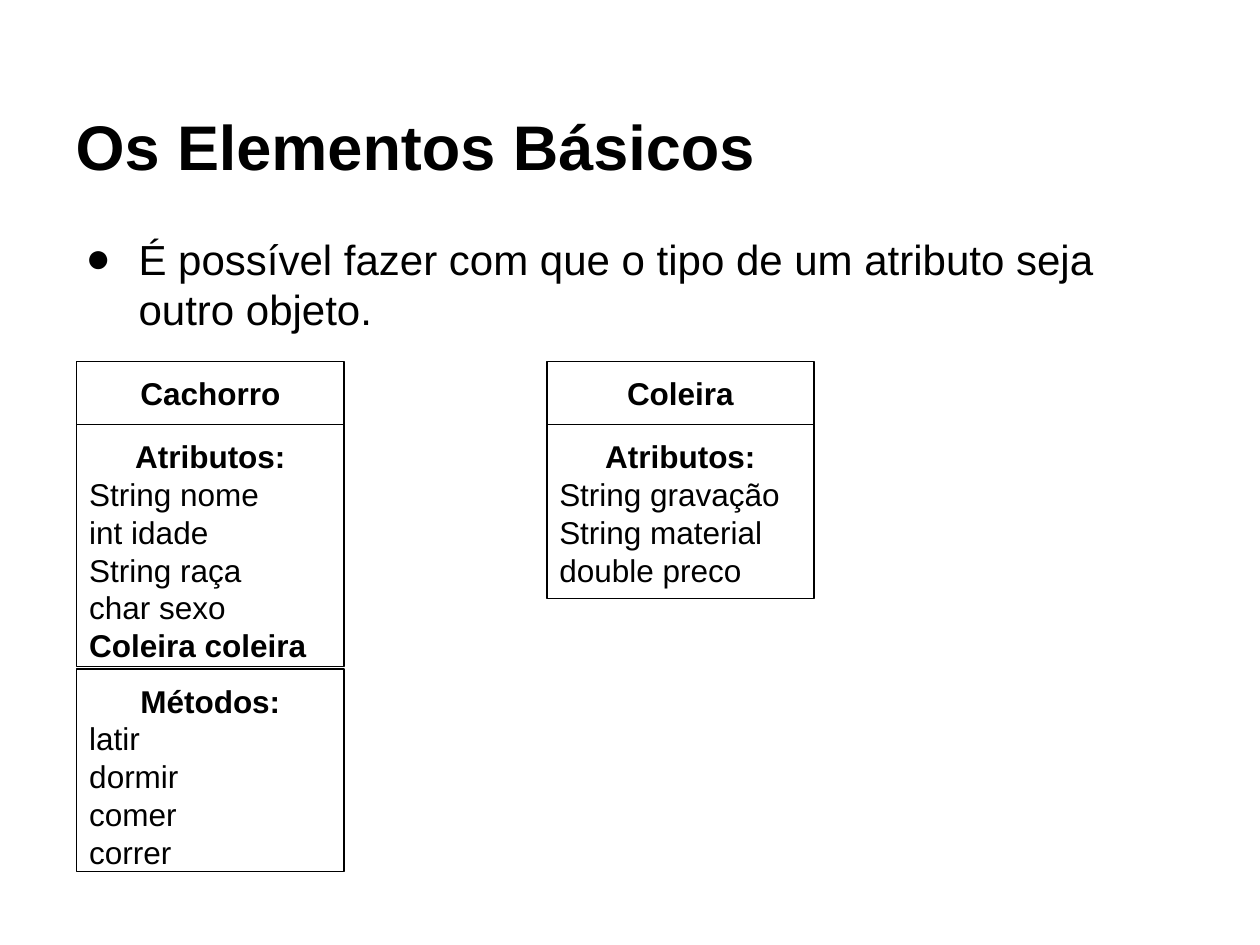
from dataclasses import dataclass

import pptx
import pptx.dml.color
import pptx.enum.shapes
import pptx.enum.text
import pptx.oxml
import pptx.oxml.ns
import pptx.util

Inches = pptx.util.Inches
Align = pptx.enum.text.PP_ALIGN
Anchor = pptx.enum.text.MSO_ANCHOR

COLORS = {"ink": "000000", "paper": "FFFFFF"}
FONT = "Arial"
BOX_WIDTH = 2.12
CLASS_TOP = 2.87


@dataclass
class Compartment:
    heading: str
    height: float
    members: tuple[str, ...] = ()
    bold_members: tuple[str, ...] = ()
    gap_above: float = 0


@dataclass
class ClassDiagram:
    left: float
    compartments: list[Compartment]


DIAGRAMS = [
    ClassDiagram(0.61, [
        Compartment("Cachorro", 0.5),
        Compartment(
            "Atributos:", 1.92,
            ("String nome", "int idade", "String raça", "char sexo", "Coleira coleira"),
            bold_members=("Coleira coleira",),
        ),
        Compartment("Métodos:", 1.61, ("latir", "dormir", "comer", "correr"), gap_above=0.02),
    ]),
    ClassDiagram(4.34, [
        Compartment("Coleira", 0.5),
        Compartment("Atributos:", 1.38, ("String gravação", "String material", "double preco")),
    ]),
]


def color(name: str) -> pptx.dml.color.RGBColor:
    return pptx.dml.color.RGBColor.from_string(COLORS[name])


def write_text(paragraph, text: str, *, size: float, bold: bool = False,
               align=Align.LEFT) -> None:
    paragraph.alignment = align
    paragraph.line_spacing = 1.0
    paragraph.space_before = paragraph.space_after = pptx.util.Pt(0)
    run = paragraph.add_run()
    run.text = text
    run.font.name = FONT
    run.font.size = pptx.util.Pt(size)
    run.font.bold = bold
    run.font.color.rgb = color("ink")


def prepare_frame(shape, anchor=Anchor.TOP):
    frame = shape.text_frame
    frame.word_wrap = True
    frame.auto_size = pptx.enum.text.MSO_AUTO_SIZE.NONE
    frame.vertical_anchor = anchor
    frame.margin_left = frame.margin_right = Inches(0.1)
    frame.margin_top = frame.margin_bottom = Inches(0.1)
    return frame


def place(shape, left: float, top: float, width: float, height: float) -> None:
    shape.left, shape.top = Inches(left), Inches(top)
    shape.width, shape.height = Inches(width), Inches(height)


def add_bullet(paragraph, character: str, left: float, hanging: float) -> None:
    properties = paragraph._p.get_or_add_pPr()
    properties.set("marL", str(Inches(left)))
    properties.set("indent", str(-Inches(hanging)))
    namespace = pptx.oxml.ns.nsdecls("a")
    for xml in (
        f'<a:buClr {namespace}><a:srgbClr val="{COLORS["ink"]}"/></a:buClr>',
        f'<a:buFont {namespace} typeface="{FONT}"/>',
        f'<a:buChar {namespace} char="{character}"/>',
    ):
        properties.append(pptx.oxml.parse_xml(xml))


def draw_compartment(group, compartment: Compartment, left: float, top: float) -> None:
    box = group.shapes.add_shape(
        pptx.enum.shapes.MSO_SHAPE.RECTANGLE, Inches(left), Inches(top),
        Inches(BOX_WIDTH), Inches(compartment.height))
    box.shadow.inherit = False
    box.fill.background()
    box.line.color.rgb = color("ink")
    box.line.width = pptx.util.Pt(0.75)
    frame = prepare_frame(box)
    write_text(frame.paragraphs[0], compartment.heading, size=18, bold=True, align=Align.CENTER)
    for member in compartment.members:
        write_text(frame.add_paragraph(), member, size=18,
                   bold=member in compartment.bold_members)


def draw_class(slide, diagram: ClassDiagram) -> None:
    group = slide.shapes.add_group_shape()
    top = CLASS_TOP
    for compartment in diagram.compartments:
        top += compartment.gap_above
        draw_compartment(group, compartment, diagram.left, top)
        top += compartment.height


def main() -> None:
    presentation = pptx.Presentation()
    presentation.slide_width, presentation.slide_height = Inches(10), Inches(7.5)
    slide = presentation.slides.add_slide(presentation.slide_layouts[1])
    slide.background.fill.solid()
    slide.background.fill.fore_color.rgb = color("paper")

    # Title
    title = slide.shapes.title
    place(title, 0.5, 0.3, 9, 1.25)
    write_text(prepare_frame(title, Anchor.BOTTOM).paragraphs[0], "Os Elementos Básicos",
               size=36, bold=True)

    # Bulleted statement
    body = slide.placeholders[1]
    place(body, 0.5, 1.75, 9, 5.43)
    statement = prepare_frame(body).paragraphs[0]
    write_text(statement, "É possível fazer com que o tipo de um atributo seja outro objeto.",
               size=24)
    add_bullet(statement, "●", left=0.5, hanging=0.42)

    # Class diagrams
    for diagram in DIAGRAMS:
        draw_class(slide, diagram)

    presentation.save("out.pptx")


if __name__ == "__main__":
    main()
